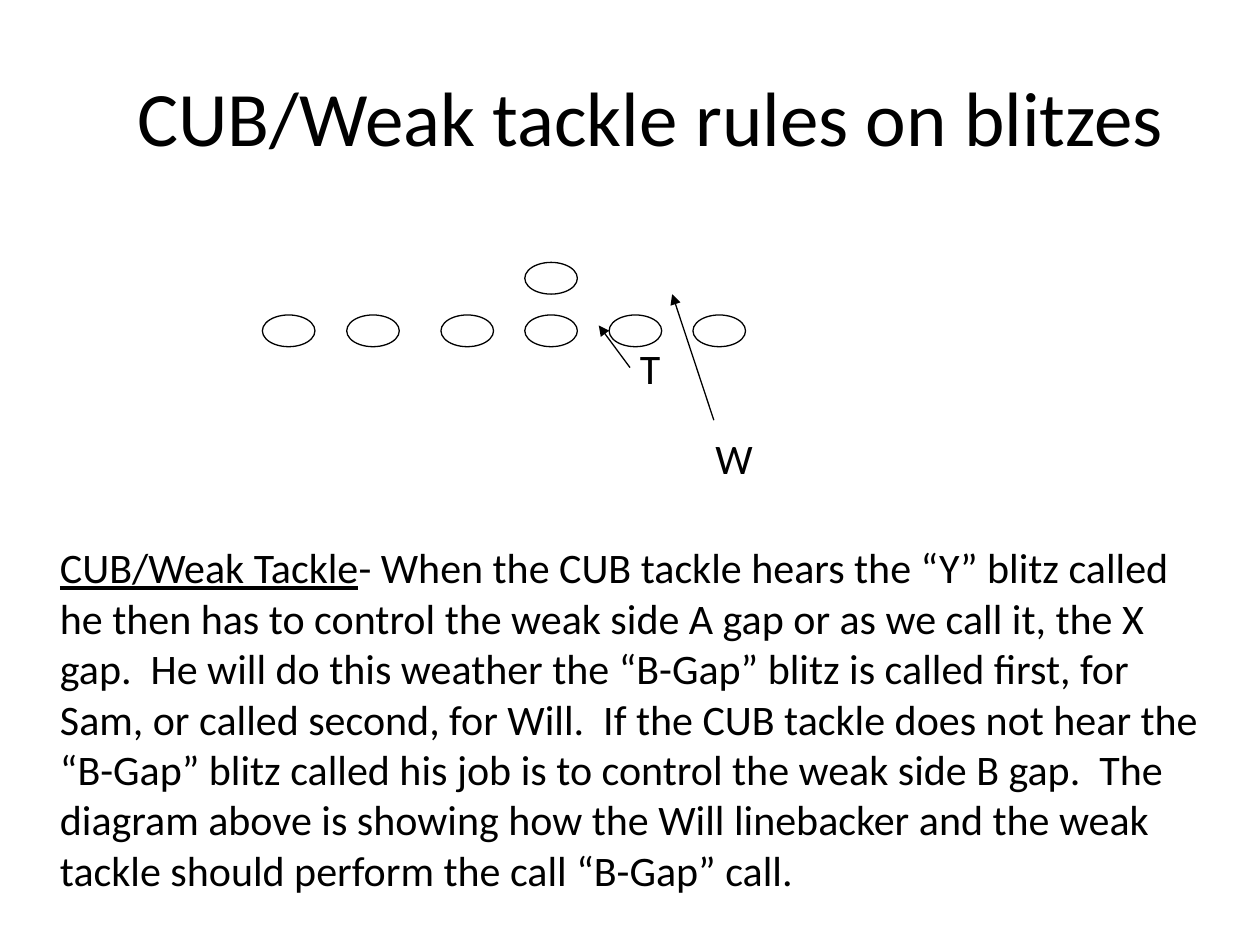
from lxml.etree import SubElement
from pptx import Presentation
from pptx.dml.color import RGBColor
from pptx.enum.shapes import MSO_CONNECTOR, MSO_SHAPE
from pptx.enum.text import MSO_ANCHOR, MSO_AUTO_SIZE, PP_ALIGN
from pptx.oxml.ns import qn
from pptx.util import Cm, Pt

COLORS = {"ink": "000000", "paper": "FFFFFF"}
LINEMAN_LEFTS = [5.29, 6.99, 8.89, 10.58, 12.28, 13.97]
LINE_TOP = 6.35
QUARTERBACK = (10.58, 5.29)
BLITZ_PATHS = [
    ((12.7, 7.41), (12.07, 6.56)),
    ((14.39, 8.47), (13.55, 5.93)),
]
RULE_HEADING = "CUB/Weak Tackle"
RULE_TEXT = (
    "- When the CUB tackle hears the “Y” blitz called he then has to control "
    "the weak side A gap or as we call it, the X gap.  He will do this weather "
    "the “B-Gap” blitz is called first, for Sam, or called second, for Will.  "
    "If the CUB tackle does not hear the “B-Gap” blitz called his job is to "
    "control the weak side B gap.  The diagram above is showing how the Will "
    "linebacker and the weak tackle should perform the call “B-Gap” call."
)


class PlaySlide:
    font_name = "Calibri"
    title_size = Pt(44)
    text_size = Pt(24)
    line_width = Pt(0.75)
    player_size = (Cm(1.06), Cm(0.64))

    def __init__(self, presentation):
        self.slide = presentation.slides.add_slide(presentation.slide_layouts[5])

    def color(self, name):
        return RGBColor.from_string(COLORS[name])

    def format_runs(self, paragraph, size):
        for run in paragraph.runs:
            run.font.name = self.font_name
            run.font.size = size
            run.font.color.rgb = self.color("ink")

    def outline(self, line):
        line.color.rgb = self.color("ink")
        line.width = self.line_width

    def title(self, text, left, top, width, height):
        shape = self.slide.shapes.title
        shape.left, shape.top = Cm(left), Cm(top)
        shape.width, shape.height = Cm(width), Cm(height)
        text_frame = shape.text_frame
        text_frame.text = text
        text_frame.vertical_anchor = MSO_ANCHOR.TOP
        text_frame.auto_size = MSO_AUTO_SIZE.NONE
        paragraph = text_frame.paragraphs[0]
        paragraph.alignment = PP_ALIGN.CENTER
        self.format_runs(paragraph, self.title_size)

    def text(self, text, left, top, width, height, heading="", wrap=True):
        """Add a text box, with an optional underlined heading before the text."""
        shape = self.slide.shapes.add_textbox(
            Cm(left), Cm(top), Cm(width), Cm(height))
        text_frame = shape.text_frame
        text_frame.word_wrap = wrap
        text_frame.auto_size = MSO_AUTO_SIZE.SHAPE_TO_FIT_TEXT
        paragraph = text_frame.paragraphs[0]
        if heading:
            run = paragraph.add_run()
            run.text = heading
            run.font.underline = True
        paragraph.add_run().text = text
        self.format_runs(paragraph, self.text_size)

    def player(self, left, top):
        shape = self.slide.shapes.add_shape(
            MSO_SHAPE.OVAL, Cm(left), Cm(top), *self.player_size)
        shape.shadow.inherit = False
        shape.fill.solid()
        shape.fill.fore_color.rgb = self.color("paper")
        self.outline(shape.line)

    def arrow(self, start, end):
        connector = self.slide.shapes.add_connector(
            MSO_CONNECTOR.STRAIGHT, *map(Cm, start + end))
        self.outline(connector.line)
        properties = connector.element.spPr
        SubElement(properties.find(qn("a:ln")), qn("a:tailEnd"), type="triangle")
        SubElement(properties, qn("a:effectLst"))


def main():
    presentation = Presentation()
    presentation.slide_width, presentation.slide_height = Cm(25.4), Cm(19.05)
    play = PlaySlide(presentation)

    play.title("CUB/Weak tackle rules on blitzes", 2.33, 1.27, 21.59, 2.96)
    play.text(RULE_TEXT, 0.96, 10.8, 23.8, 7.37, heading=RULE_HEADING)

    play.player(*QUARTERBACK)
    for left in LINEMAN_LEFTS:
        play.player(left, LINE_TOP)

    play.text("T", 12.65, 6.78, 1.83, 1.27)
    play.text("W", 14.17, 8.59, 1.24, 1.27, wrap=False)
    for start, end in BLITZ_PATHS:
        play.arrow(start, end)

    presentation.save("out.pptx")


if __name__ == "__main__":
    main()
